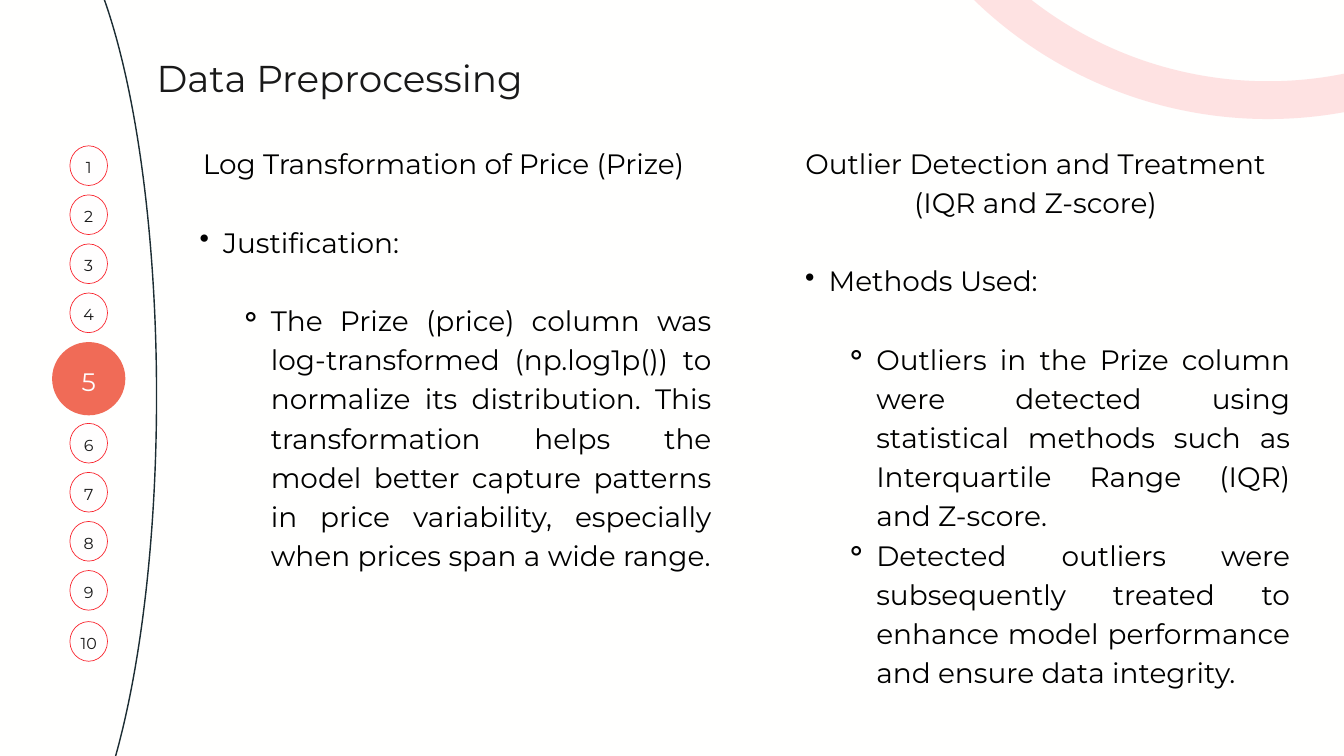
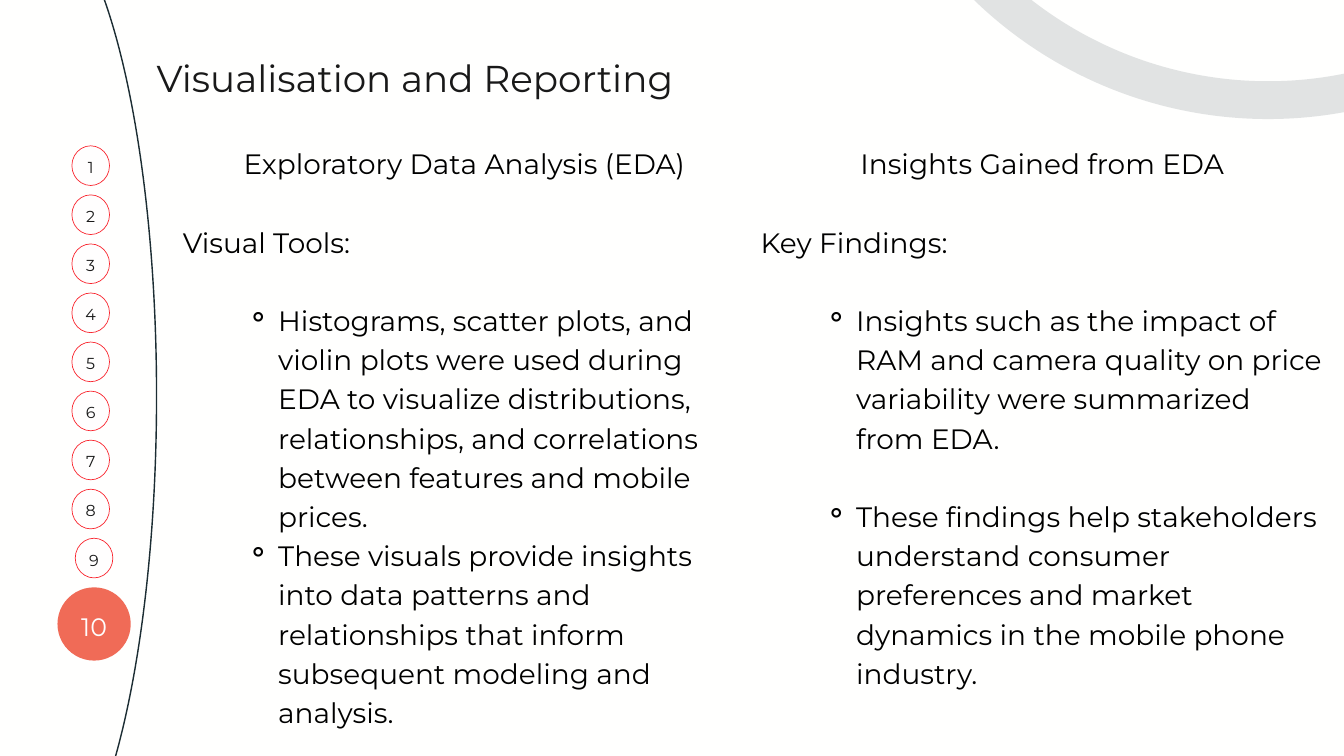
import dataclasses

import lxml.etree
import pptx
import pptx.dml.color
import pptx.enum.shapes
import pptx.enum.text
import pptx.oxml.ns
import pptx.util

Inches = pptx.util.Inches
ALIGN = pptx.enum.text.PP_ALIGN
ANCHOR = pptx.enum.text.MSO_ANCHOR


@dataclasses.dataclass(frozen=True)
class Theme:
    font: str = "Montserrat"
    page: str = "FFFFFE"
    white: str = "FFFEFE"
    ink: str = "191919"
    black: str = "000000"
    navy: str = "1C2D33"
    red: str = "F9232C"
    coral: str = "F06B57"
    title: int = 40
    body: int = 30
    current: int = 27
    step: int = 17
    leading: float = 1.4


THEME = Theme()
BULLETS = {1: ("•", 0.71, -0.35), 2: ("⚬", 1.42, -0.47)}


def rgb(value):
    return pptx.dml.color.RGBColor.from_string(value)


def write(tf, text, first=False, size=THEME.body, color=THEME.black,
          align=ALIGN.LEFT, level=0, gap=False):
    p = tf.paragraphs[0] if first else tf.add_paragraph()
    leading = pptx.util.Pt(round(size * THEME.leading, 1))
    p.alignment = align
    p.level = level
    p.line_spacing = leading
    p.space_before = leading if gap else 0
    p.space_after = 0
    if level:
        char, margin, indent = BULLETS[level]
        pPr = p._p.get_or_add_pPr()
        pPr.set("marL", str(Inches(margin)))
        pPr.set("indent", str(Inches(indent)))
        bullet = lxml.etree.SubElement(pPr, pptx.oxml.ns.qn("a:buChar"))
        bullet.set("char", char)
    r = p.add_run()
    r.text = text
    r.font.name = THEME.font
    r.font.size = pptx.util.Pt(size)
    r.font.color.rgb = rgb(color)


def prepare_frame(tf, anchor=ANCHOR.TOP):
    tf.margin_left = tf.margin_top = tf.margin_right = tf.margin_bottom = 0
    tf.word_wrap = True
    tf.auto_size = pptx.enum.text.MSO_AUTO_SIZE.NONE
    tf.vertical_anchor = anchor


def add_oval(slide, box, fill=None, line=None, width=0.75, alpha=None):
    sp = slide.shapes.add_shape(pptx.enum.shapes.MSO_SHAPE.OVAL, *map(Inches, box))
    sp.shadow.inherit = False
    if fill:
        sp.fill.solid()
        sp.fill.fore_color.rgb = rgb(fill)
    else:
        sp.fill.background()
    if line:
        sp.line.color.rgb = rgb(line)
        sp.line.width = pptx.util.Pt(width)
    else:
        sp.line.fill.background()
    if alpha:
        color = sp._element.xpath(".//a:ln//a:srgbClr")[0]
        lxml.etree.SubElement(color, pptx.oxml.ns.qn("a:alpha")).set("val", str(alpha * 1000))
    return sp


def add_step_rail(slide, center, top, current, nudges, count=10):
    small, large = (0.56, 0.59), (1.09, 1.09)
    y = top
    for number in range(1, count + 1):
        active = number == current
        width, height = large if active else small
        dx, dy = nudges.get(number, (0, 0))
        box = (center - width / 2 + dx, y + dy, width, height)
        if active:
            sp = add_oval(slide, box, fill=THEME.coral)
        else:
            sp = add_oval(slide, box, fill=THEME.white, line=THEME.red)
        prepare_frame(sp.text_frame, ANCHOR.MIDDLE)
        write(sp.text_frame, str(number), first=True, align=ALIGN.CENTER,
              size=THEME.current if active else THEME.step,
              color=THEME.white if active else THEME.ink)
        y += 1.21 if active else 0.73


def add_title(slide, box, text):
    sp = slide.shapes.title
    sp.left, sp.top, sp.width, sp.height = map(Inches, box)
    prepare_frame(sp.text_frame)
    write(sp.text_frame, text, first=True, size=THEME.title, color=THEME.ink)


def add_column(slide, box, heading, points, align):
    tf = slide.shapes.add_textbox(*map(Inches, box)).text_frame
    prepare_frame(tf)
    write(tf, heading, first=True, align=ALIGN.CENTER)
    for level, gap, text in points:
        write(tf, text, level=level, gap=gap, align=align)


def add_topic_slide(prs, title, ring, center, current, nudges, align, columns):
    slide = prs.slides.add_slide(prs.slide_layouts[5])
    add_oval(slide, (-1.5, -1.44, 3.83, 14.66), line=THEME.navy, width=1.5)
    add_oval(slide, (12.86, -10.53, 12.02, 12.02), line=ring, width=40.5, alpha=12)
    add_title(slide, (2.33, 0.71, 8.77, 0.74), title)
    add_step_rail(slide, center, 2.17, current, nudges)
    for box, heading, points in columns:
        add_column(slide, box, heading, points, align)


def main():
    prs = pptx.Presentation()
    prs.slide_width, prs.slide_height = Inches(20), Inches(11.25)
    background = prs.slide_master.background.fill
    background.solid()
    background.fore_color.rgb = rgb(THEME.page)

    add_topic_slide(
        prs, "Data Preprocessing", THEME.red, 1.32, 5, {10: (0, 0.03)}, ALIGN.JUSTIFY,
        [((2.61, 2.1, 7.98, 6.41), "Log Transformation of Price (Prize)", [
            (1, True, "Justification:"),
            (2, True, "The Prize (price) column was log-transformed (np.log1p()) to "
                      "normalize its distribution. This transformation helps the model "
                      "better capture patterns in price variability, especially when "
                      "prices span a wide range."),
        ]), ((11.62, 2.09, 7.58, 8.16), "Outlier Detection and Treatment (IQR and Z-score)", [
            (1, True, "Methods Used:"),
            (2, True, "Outliers in the Prize column were detected using statistical "
                      "methods such as Interquartile Range (IQR) and Z-score."),
            (2, False, "Detected outliers were subsequently treated to enhance model "
                       "performance and ensure data integrity."),
        ])])

    add_topic_slide(
        prs, "Visualisation and Reporting", THEME.navy, 1.35, 10,
        {9: (0.05, 0), 10: (0.05, 0)}, ALIGN.LEFT,
        [((2.72, 2.1, 8.38, 8.74), "Exploratory Data Analysis (EDA)", [
            (0, True, "Visual Tools:"),
            (2, True, "Histograms, scatter plots, and violin plots were used during EDA "
                      "to visualize distributions, relationships, and correlations "
                      "between features and mobile prices."),
            (2, False, "These visuals provide insights into data patterns and "
                       "relationships that inform subsequent modeling and analysis."),
        ]), ((11.32, 2.1, 8.38, 8.16), "Insights Gained from EDA", [
            (0, True, "Key Findings:"),
            (2, True, "Insights such as the impact of RAM and camera quality on price "
                      "variability were summarized from EDA."),
            (2, True, "These findings help stakeholders understand consumer preferences "
                      "and market dynamics in the mobile phone industry."),
        ])])

    prs.save("out.pptx")


if __name__ == "__main__":
    main()
